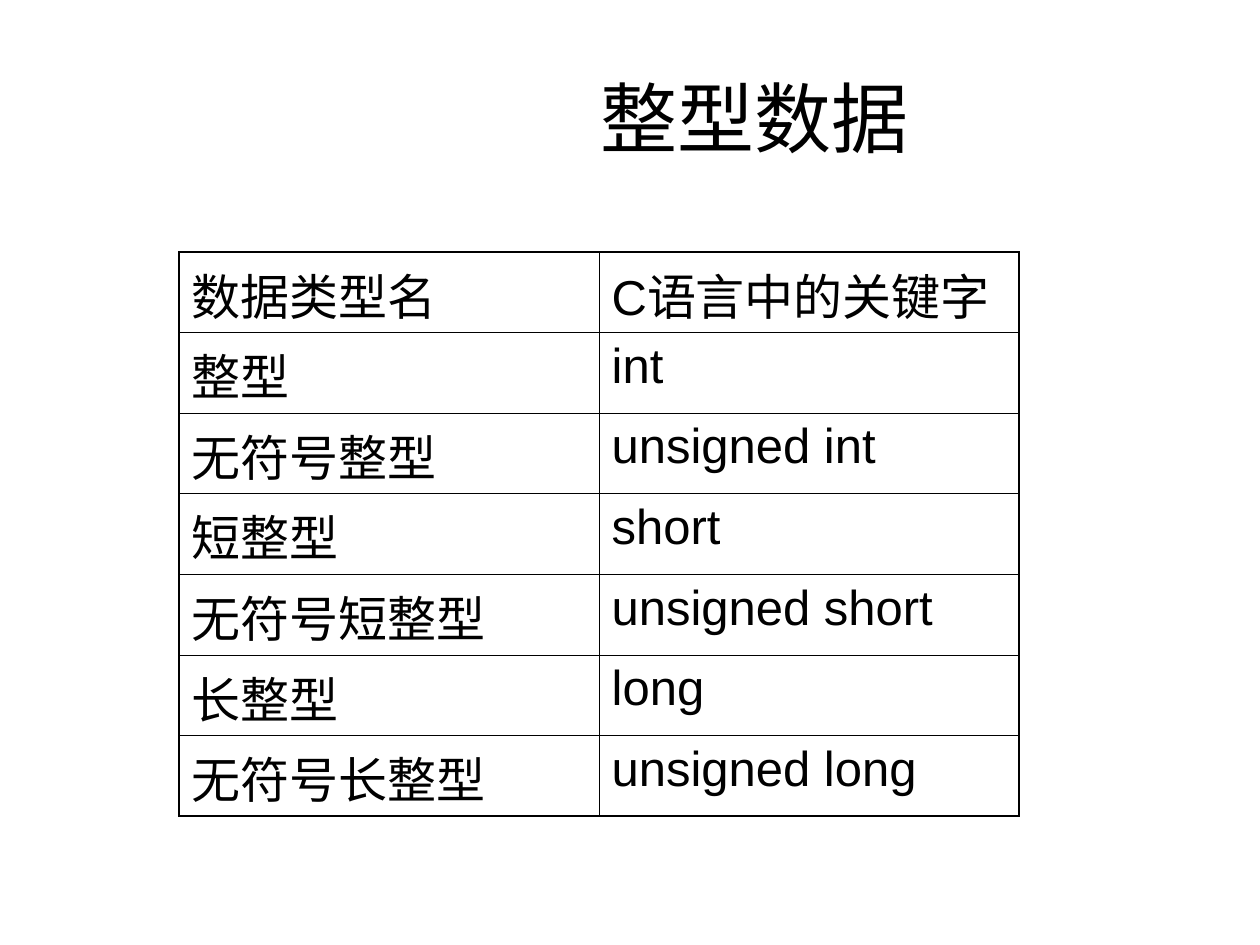
import pptx
import pptx.dml.color
import pptx.enum.text
import pptx.oxml.ns
import pptx.util
from lxml import etree
from pptx.util import Inches

BLACK = pptx.dml.color.RGBColor(0, 0, 0)
OUTER_WIDTH, INNER_WIDTH = 1.08, 0.45
ROWS = [
    ("数据类型名", "C语言中的关键字"),
    ("整型", "int"),
    ("无符号整型", "unsigned int"),
    ("短整型", "short"),
    ("无符号短整型", "unsigned short"),
    ("长整型", "long"),
    ("无符号长整型", "unsigned long"),
]


def write_text(text_frame, text, size, alignment, space_before=0):
    paragraph = text_frame.paragraphs[0]
    paragraph.alignment = alignment
    paragraph.space_before = pptx.util.Pt(space_before)
    run = paragraph.add_run()
    run.text = text
    run.font.size = pptx.util.Pt(size)
    run.font.name = "Arial"
    run.font.color.rgb = BLACK


def set_borders(cell, widths):
    properties = cell._tc.get_or_add_tcPr()
    for position, (side, width) in enumerate(widths.items()):
        line = etree.Element(pptx.oxml.ns.qn(f"a:ln{side}"), w=str(pptx.util.Pt(width)))
        fill = etree.SubElement(line, pptx.oxml.ns.qn("a:solidFill"))
        etree.SubElement(fill, pptx.oxml.ns.qn("a:srgbClr"), val=str(BLACK))
        properties.insert(position, line)


presentation = pptx.Presentation()
presentation.slide_width = Inches(10)
presentation.slide_height = Inches(7.5)
slide = presentation.slides.add_slide(presentation.slide_layouts[6])

# Title, centred to the right of a wide left inset
title = slide.shapes.add_textbox(Inches(0.5), Inches(0.3), Inches(9), Inches(1.25))
title.text_frame.word_wrap = True
title.text_frame.margin_left = Inches(2.08)
title.text_frame.vertical_anchor = pptx.enum.text.MSO_ANCHOR.MIDDLE
write_text(title.text_frame, "整型数据", size=44, alignment=pptx.enum.text.PP_ALIGN.CENTER)

# Table of integer types and keywords
row_count, column_count = len(ROWS), len(ROWS[0])
table = slide.shapes.add_table(
    row_count, column_count, Inches(1.42), Inches(2), Inches(6.67), Inches(0.64 * row_count)
).table
table.first_row = False
table.horz_banding = False

for row, texts in enumerate(ROWS):
    for column, text in enumerate(texts):
        cell = table.cell(row, column)
        cell.fill.background()
        write_text(cell.text_frame, text, size=28,
                   alignment=pptx.enum.text.PP_ALIGN.LEFT, space_before=7)
        # Thicker lines on the outside of the table
        on_edge = {
            "L": column == 0,
            "R": column == column_count - 1,
            "T": row == 0,
            "B": row == row_count - 1,
        }
        set_borders(cell, {side: OUTER_WIDTH if edge else INNER_WIDTH
                           for side, edge in on_edge.items()})

presentation.save("out.pptx")
